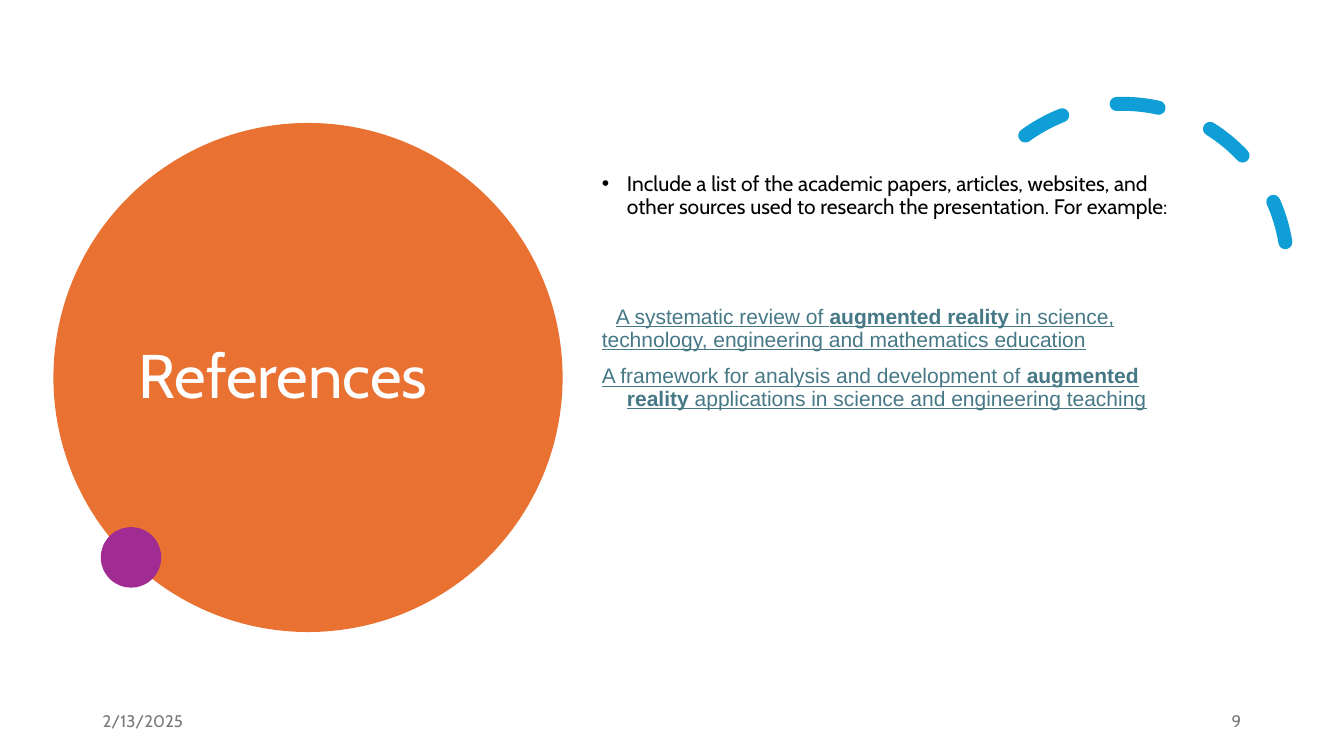
from lxml.etree import SubElement
from pptx import Presentation
from pptx.dml.color import RGBColor
from pptx.enum.dml import MSO_LINE
from pptx.enum.shapes import MSO_SHAPE
from pptx.enum.text import MSO_ANCHOR, PP_ALIGN
from pptx.oxml.ns import qn
from pptx.util import Inches, Pt

WIDTH, HEIGHT = 13.33, 7.5
ORANGE, PURPLE, BLUE = "E97132", "A02B93", "0F9ED5"
WHITE, BLACK, GREY, TEAL = "FFFFFF", "000000", "797979", "467886"

# Left, top, diameter, colour
DISCS = [(0.53, 1.22, 5.05, ORANGE), (1, 5.23, 0.6, PURPLE)]
ARC = {"box": (9.5, 1.03, 3.27, 3.27), "rotation": 330.2, "angles": (158.17, 17.81)}

PLAIN = {"name": "Cabin", "size": 15, "color": BLACK}
CITED = {"name": "Arial", "size": 15, "color": TEAL, "underline": True}
CITED_BOLD = {**CITED, "bold": True}
FOOTER = {"name": "Cabin", "size": 12, "color": GREY}
HEADING = {"name": "Cabin", "size": 44, "color": WHITE}

# Each paragraph: (left margin, first-line indent), bullet, layout, runs
REFERENCES = [
    ((0.25, -0.25), "•", {"line_spacing": 0.9, "space_before": Pt(10)}, [
        ("Include a list of the academic papers, articles, websites, and other "
         "sources used to research the presentation. For example:", PLAIN)]),
    ((0, 0.14), None, {"line_spacing": 0.9, "space_before": Pt(62.5)}, [
        ("A systematic review of ", CITED),
        ("augmented reality ", CITED_BOLD),
        ("in science, technology, engineering and mathematics education", CITED)]),
    ((0.25, -0.25), None, {"line_spacing": 0.9, "space_before": Pt(10)}, [
        ("A framework for analysis and development of ", CITED),
        ("augmented reality ", CITED_BOLD),
        ("applications in science and engineering teaching", CITED)]),
]
TITLE = [((0, 0), None, {"line_spacing": 0.9}, [("References", HEADING)])]
DATE = [((0, 0), None, {"space_after": Pt(6)}, [("2/13/2025", FOOTER)])]
NUMBER = [((0, 0), None, {"space_after": Pt(6), "alignment": PP_ALIGN.RIGHT},
           [("9", FOOTER)])]

FOOTER_MARGIN, FOOTER_TOP, FOOTER_WIDTH = 0.92, 6.95, 3
TEXTS = [
    ((1.28, 1.53, 3.54, 4.45), MSO_ANCHOR.MIDDLE, TITLE),
    ((5.87, 1.67, 6.05, 4.3), MSO_ANCHOR.TOP, REFERENCES),
    ((FOOTER_MARGIN, FOOTER_TOP, FOOTER_WIDTH, 0.4), MSO_ANCHOR.MIDDLE, DATE),
    ((WIDTH - FOOTER_MARGIN - FOOTER_WIDTH, FOOTER_TOP, FOOTER_WIDTH, 0.4),
     MSO_ANCHOR.MIDDLE, NUMBER),
]


def rgb(color):
    return RGBColor.from_string(color)


def inches(box):
    return [Inches(length) for length in box]


def add_disc(slide, left, top, diameter, color):
    disc = slide.shapes.add_shape(
        MSO_SHAPE.OVAL, *inches((left, top, diameter, diameter)))
    disc.shadow.inherit = False
    disc.fill.solid()
    disc.fill.fore_color.rgb = rgb(color)
    disc.line.fill.background()


def add_dashed_arc(slide, box, rotation, angles):
    arc = slide.shapes.add_shape(MSO_SHAPE.ARC, *inches(box))
    arc.shadow.inherit = False
    arc.rotation = rotation
    for index, angle in enumerate(angles):
        arc.adjustments[index] = angle
    arc.fill.background()
    arc.line.color.rgb = rgb(BLUE)
    arc.line.width = Pt(10)
    arc.line.dash_style = MSO_LINE.DASH
    outline = arc._element.spPr.find(qn("a:ln"))
    outline.set("cap", "rnd")
    SubElement(outline, qn("a:round"))


def add_run(paragraph, text, style):
    run = paragraph.add_run()
    run.text = text
    for attribute, value in style.items():
        if attribute == "color":
            run.font.color.rgb = rgb(value)
        else:
            setattr(run.font, attribute, Pt(value) if attribute == "size" else value)


def add_text(slide, box, anchor, paragraphs):
    frame = slide.shapes.add_textbox(*inches(box)).text_frame
    frame.word_wrap = True
    frame.vertical_anchor = anchor
    for index, ((margin, indent), bullet, layout, runs) in enumerate(paragraphs):
        paragraph = frame.add_paragraph() if index else frame.paragraphs[0]
        for attribute, value in layout.items():
            setattr(paragraph, attribute, value)
        properties = paragraph._p.get_or_add_pPr()
        properties.set("marL", str(Inches(margin)))
        properties.set("indent", str(Inches(indent)))
        if bullet:
            SubElement(properties, qn("a:buFont"), typeface="Arial")
            SubElement(properties, qn("a:buChar"), char=bullet)
        for text, style in runs:
            add_run(paragraph, text, style)


def main():
    deck = Presentation()
    deck.slide_width, deck.slide_height = inches((WIDTH, HEIGHT))
    slide = deck.slides.add_slide(deck.slide_layouts[6])
    for disc in DISCS:
        add_disc(slide, *disc)
    add_dashed_arc(slide, **ARC)
    for text in TEXTS:
        add_text(slide, *text)
    deck.save("out.pptx")


if __name__ == "__main__":
    main()
